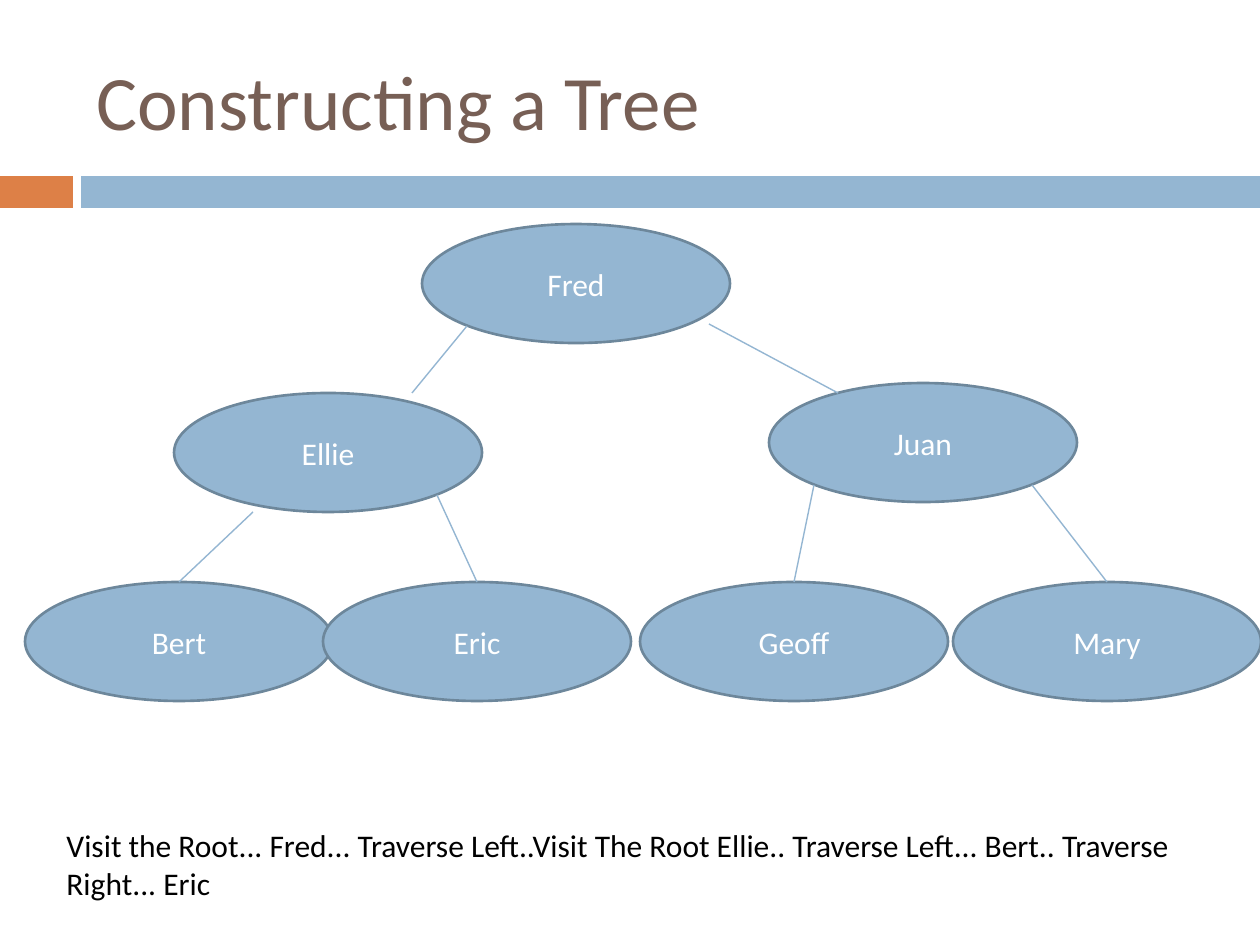
import pptx
import pptx.util
import pptx.dml.color
import pptx.enum.shapes
import pptx.enum.text
import pptx.oxml.ns
import lxml.etree

RGB = pptx.dml.color.RGBColor
BLUE = RGB(0x94, 0xB6, 0xD2)
EDGE = RGB(0x6D, 0x87, 0x9B)
ORANGE = RGB(0xDD, 0x80, 0x47)
BROWN = RGB(0x77, 0x5F, 0x55)
WHITE = RGB(255, 255, 255)
BLACK = RGB(0, 0, 0)
KIND = pptx.enum.shapes.MSO_SHAPE
ALIGN = pptx.enum.text.PP_ALIGN
ANCHOR = pptx.enum.text.MSO_ANCHOR
SCALE = 914400 / 126

# Tree: name -> left and top within the tree box
NODE_W, NODE_H = 308, 119
NODES = {
    "Fred": (397, 0),
    "Ellie": (149, 169), "Juan": (744, 159),
    "Mary": (928, 358), "Geoff": (615, 358),
    "Bert": (0, 358), "Eric": (298, 358),
}
# Joints within a node
TOP = (NODE_W // 2, 0)
LEFT = (45, 102)
RIGHT = (NODE_W - 45, 102)
LINKS = [
    ("Fred", LEFT, "Ellie", (238, 0)),
    ("Fred", (287, 100), "Juan", (69, 10)),
    ("Ellie", (79, NODE_H), "Bert", TOP),
    ("Ellie", RIGHT, "Eric", TOP),
    ("Juan", LEFT, "Geoff", TOP),
    ("Juan", RIGHT, "Mary", TOP),
]


def emu(*pixels):
    return [round(p * SCALE) for p in pixels]


def write(shape, text, size, color, align=ALIGN.LEFT, anchor=ANCHOR.TOP):
    frame = shape.text_frame
    frame.word_wrap = True
    frame.vertical_anchor = anchor
    frame.text = text
    line = frame.paragraphs[0]
    line.alignment = align
    font = line.runs[0].font
    font.name = "Calibri"
    font.size = pptx.util.Pt(size)
    font.color.rgb = color


def draw(slide, kind, box, fill, edge=None):
    shape = slide.shapes.add_shape(kind, *emu(*box))
    shape.shadow.inherit = False
    shape.fill.solid()
    shape.fill.fore_color.rgb = fill
    if edge is None:
        shape.line.fill.background()
    else:
        shape.line.color.rgb = edge
        shape.line.width = pptx.util.Pt(1.5)
    return shape


def add_band(slide, x, y, w, h):
    block, gap = 73, 8
    draw(slide, KIND.RECTANGLE, (x, y, block, h), ORANGE)
    start = block + gap
    draw(slide, KIND.RECTANGLE, (x + start, y, w - start, h), BLUE)


def add_title(slide, x, y, w, h):
    title = slide.shapes.add_textbox(*emu(x, y, w, h))
    write(title, "Constructing a Tree", 44, BROWN, anchor=ANCHOR.MIDDLE)


def add_tree(slide, x, y):
    # Nodes
    for name, (left, top) in NODES.items():
        box = (x + left, y + top, NODE_W, NODE_H)
        node = draw(slide, KIND.OVAL, box, BLUE, EDGE)
        write(node, name, 18, WHITE, ALIGN.CENTER, ANCHOR.MIDDLE)

    # Links
    def point(name, joint):
        left, top = NODES[name]
        return x + left + joint[0], y + top + joint[1]

    for parent, tail, child, head in LINKS:
        ends = emu(*point(parent, tail), *point(child, head))
        link = slide.shapes.add_connector(
            pptx.enum.shapes.MSO_CONNECTOR.STRAIGHT, *ends)
        link.line.color.rgb = BLUE
        link.line.width = pptx.util.Pt(0.79)
        lxml.etree.SubElement(link._element.spPr,
                              pptx.oxml.ns.qn("a:effectLst"))


def add_note(slide, x, y, w, h):
    note = slide.shapes.add_textbox(*emu(x, y, w, h))
    write(note, "Visit the Root... Fred... Traverse Left..Visit The Root "
          "Ellie.. Traverse Left... Bert.. Traverse Right... Eric", 18, BLACK)
    note.text_frame.auto_size = pptx.enum.text.MSO_AUTO_SIZE.SHAPE_TO_FIT_TEXT


deck = pptx.Presentation()
deck.slide_width, deck.slide_height = emu(1260, 945)
slide = deck.slides.add_slide(deck.slide_layouts[6])
add_band(slide, 0, 176, 1260, 32)
add_title(slide, 84, 32, 1124, 136)
add_tree(slide, 25, 224)
add_note(slide, 54, 820, 1142, 89)
deck.save("out.pptx")
